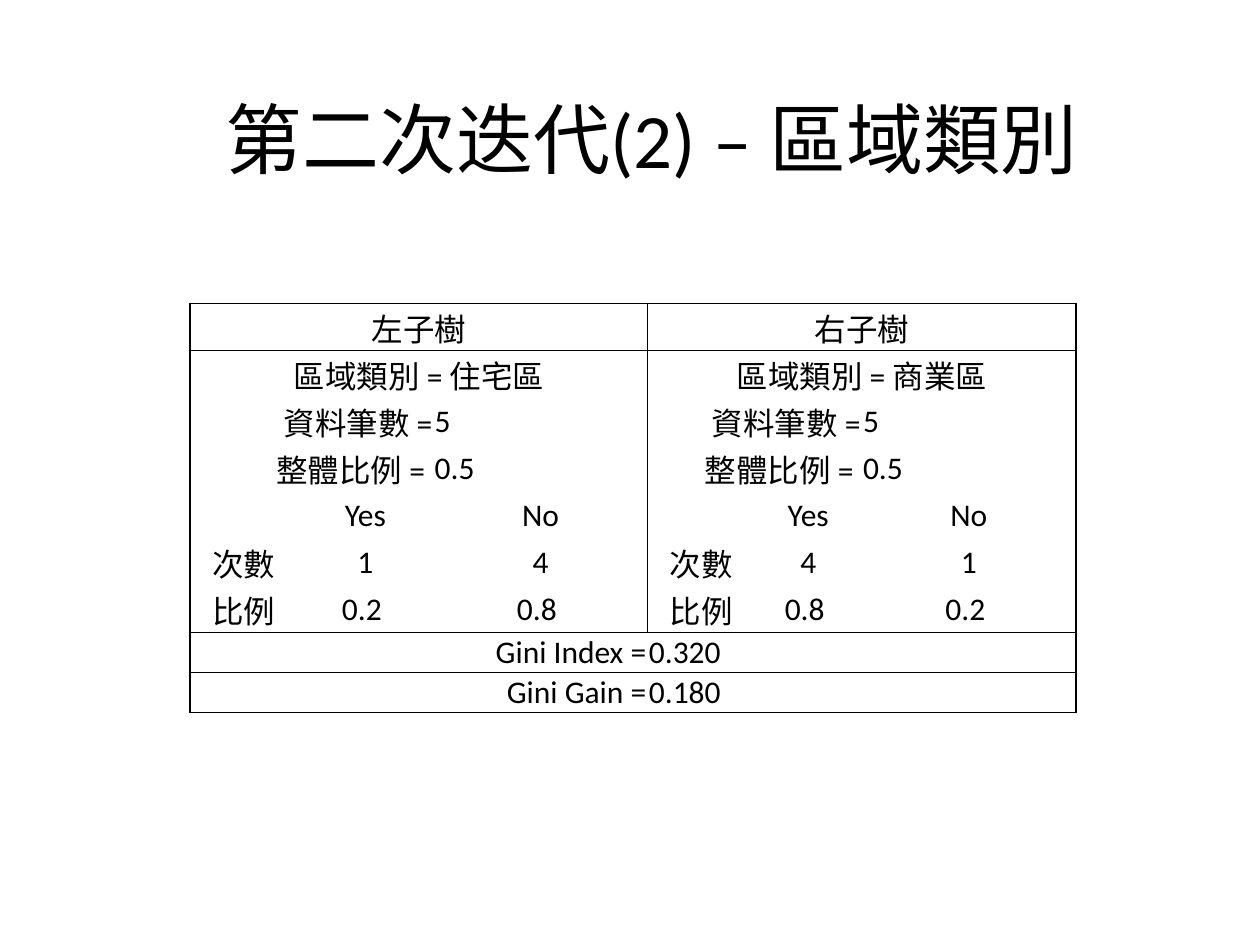
from lxml.etree import SubElement as Sub
from pptx import Presentation
from pptx.dml.color import RGBColor as RGB
from pptx.enum.text import MSO_ANCHOR as Anchor, PP_ALIGN as Align
from pptx.oxml.ns import qn
from pptx.util import Inches, Pt

COLORS = {"ink": "000000", "paper": "FFFFFF"}
ALIGNS = {"l": Align.LEFT, "c": Align.CENTER, "r": Align.RIGHT}


def write(frame, text, size=18, color="ink", align="c", font="Calibri"):
    para = frame.paragraphs[0]
    para.alignment = ALIGNS[align]
    run = para.add_run()
    run.text = text
    run.font.size = Pt(size)
    run.font.name = font
    run.font.color.rgb = RGB.from_string(COLORS[color])


class Deck:
    """Lengths are columns and rows of a 100 by 75 grid."""

    unit = Inches(0.1)

    def __init__(self):
        self.prs = Presentation()
        self.prs.slide_width = 100 * self.unit
        self.prs.slide_height = 75 * self.unit
        self.slide = self.prs.slides.add_slide(self.prs.slide_layouts[6])
        fill = self.slide.background.fill
        fill.solid()
        fill.fore_color.rgb = RGB.from_string(COLORS["paper"])

    def grid(self, *vals):
        return [int(val * self.unit) for val in vals]

    def text(self, box, text, **style):
        frame = self.slide.shapes.add_textbox(*self.grid(*box)).text_frame
        frame.word_wrap = True
        frame.vertical_anchor = Anchor.MIDDLE
        write(frame, text, **style)

    def table(self, box, cols, rows):
        table = self.slide.shapes.add_table(
            len(rows), len(cols), *self.grid(*box)).table
        table.first_row = table.horz_banding = False
        for col, width in zip(table.columns, self.grid(*cols)):
            col.width = width
        for row, height in zip(table.rows, self.grid(*rows)):
            row.height = height
        return table

    def cell(self, cell, edges):
        cell.margin_left = cell.margin_right = cell.margin_top = Inches(0.01)
        cell.margin_bottom = 0
        cell.vertical_anchor = Anchor.MIDDLE
        props = cell._tc.get_or_add_tcPr()
        for side in "LRTB":
            line = Sub(props, qn("a:ln" + side), w=str(Pt(1)))
            if side in edges:
                fill = Sub(line, qn("a:solidFill"))
                Sub(fill, qn("a:srgbClr"), val=COLORS["ink"])
            else:
                Sub(line, qn("a:noFill"))
        cell.fill.background()


def edges(row, first, last):
    """Sides that are ruled for a cell from column first to last."""
    split = row < 7
    rules = {
        "L": first == 0 or (split and first == 3),
        "R": last == 5 or (split and last == 2),
        "T": row in (0, 1, 7, 8),
        "B": row in (0, 6, 7, 8),
    }
    return [side for side, on in rules.items() if on]


def tree(name, zone, yes, no, yes_part, no_part):
    """Rows of one subtree: (text, columns spanned, alignment)."""
    return [
        [(name, 3, "c")],
        [("區域類別 = " + zone, 3, "c")],
        [("資料筆數 =", 2, "r"), ("5", 1, "l")],
        [("整體比例 = ", 2, "r"), ("0.5 ", 1, "l")],
        [("", 1, "c"), ("Yes", 1, "c"), ("No", 1, "c")],
        [("次數", 1, "c"), (yes, 1, "c"), (no, 1, "c")],
        [("比例", 1, "c"), (yes_part, 1, "c"), (no_part, 1, "c")],
    ]


deck = Deck()

# Title
deck.text((6.7, 4.7, 90, 12.5), "第二次迭代(2) – 區域類別", size=44)

# Both subtrees side by side, then the Gini results
left = tree("左子樹", "住宅區", "1", "4", "0.2 ", "0.8 ")
right = tree("右子樹", "商業區", "4", "1", "0.8 ", "0.2 ")
body = [a + b for a, b in zip(left, right)]
body += [[(name, 3, "r"), (value, 3, "l")] for name, value in
         (("Gini Index =", "0.320 "), ("Gini Gain =", "0.180 "))]

cols = [8.5, 10.8, 17, 8.5, 8.5, 17]
rows = [3.73] * 7 + [3.18] * 2
table = deck.table((15.1, 24.1, sum(cols), sum(rows)), cols, rows)
for r, parts in enumerate(body):
    c = 0
    for text, span, align in parts:
        last = c + span - 1
        cell = table.cell(r, c)
        deck.cell(cell, edges(r, c, last))
        for k in range(c + 1, last + 1):
            deck.cell(table.cell(r, k), edges(r, k, k))
        if span > 1:
            cell.merge(table.cell(r, last))
        if text:
            write(cell.text_frame, text, align=align)
        c += span

deck.prs.save("out.pptx")
